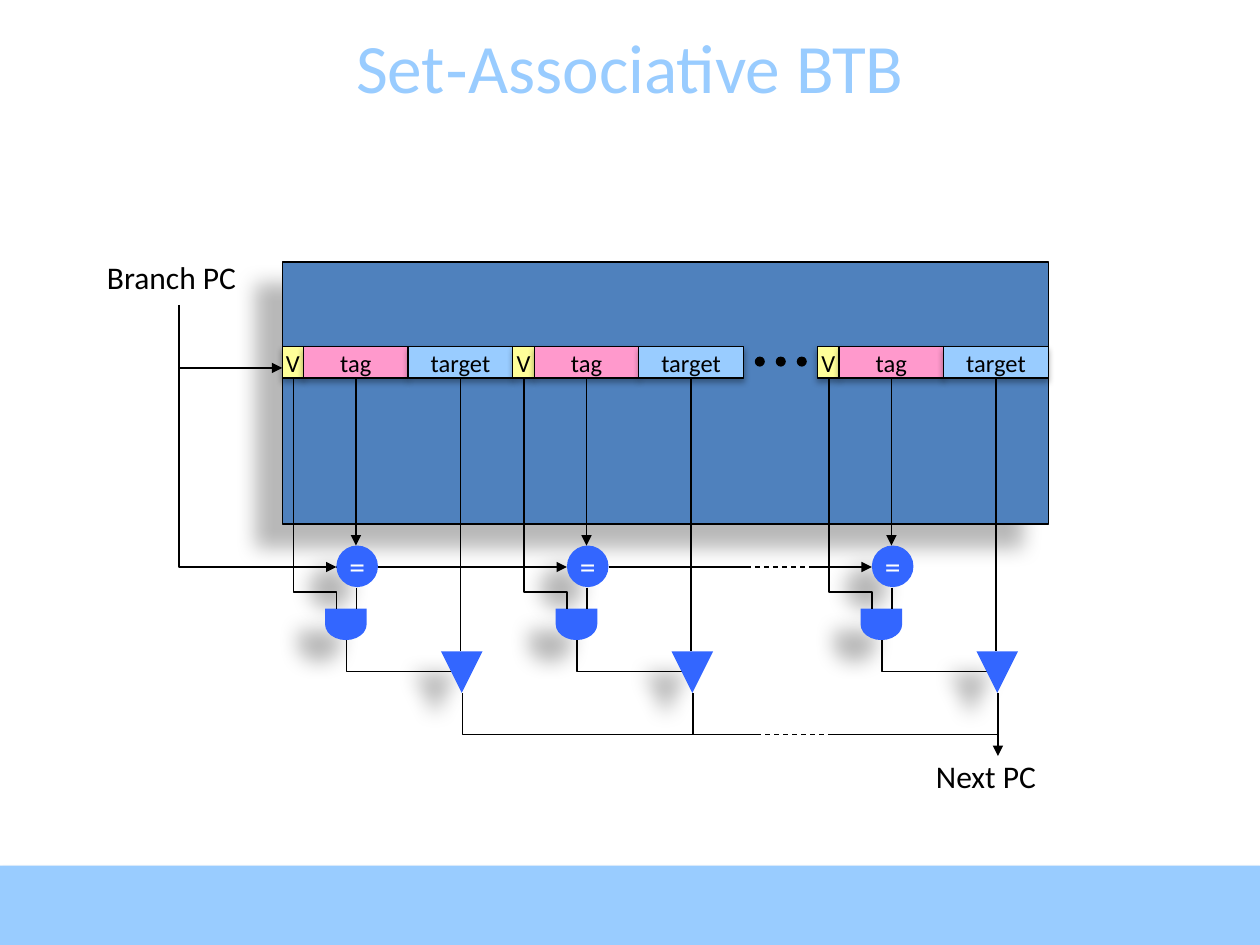
"""Build the slide that shows a set-associative branch target buffer."""
from lxml.etree import SubElement
from pptx import Presentation
from pptx.dml.color import RGBColor
from pptx.enum.dml import MSO_LINE
from pptx.enum.shapes import MSO_CONNECTOR, MSO_SHAPE as Kind
from pptx.enum.text import MSO_ANCHOR, MSO_AUTO_SIZE, PP_ALIGN
from pptx.oxml.ns import qn
from pptx.util import Inches, Pt

BLACK = RGBColor(0x00, 0x00, 0x00)
WHITE = RGBColor(0xFF, 0xFF, 0xFF)
SKY = RGBColor(0x99, 0xCC, 0xFF)
STEEL = RGBColor(0x4F, 0x81, 0xBD)
ROYAL = RGBColor(0x33, 0x66, 0xFF)
YELLOW = RGBColor(0xFF, 0xFF, 0x99)
PINK = RGBColor(0xFF, 0x99, 0xCC)

# opacity %, blur pt, distance pt, direction degrees
BAND_SHADOW = (35, 3.1, 1.8, 90)
CELL_SHADOW = (32, 3.5, 2.2, 90)
LONG_SHADOW = (28, 11.8, 19.7, 141)

deck = Presentation()
deck.slide_width, deck.slide_height = Inches(10), Inches(7.5)
page = deck.slides.add_slide(deck.slide_layouts[6])


def add_box(text, left, top, width, height, kind=None, fill=None, outlined=False,
            shadow=None, size=18, color=BLACK, align=PP_ALIGN.CENTER,
            anchor=MSO_ANCHOR.MIDDLE, margin=0.1, wrap=False):
    place = [Inches(value) for value in (left, top, width, height)]
    if kind is None:
        box = page.shapes.add_textbox(*place)
    else:
        box = page.shapes.add_shape(kind, *place)
        box.shadow.inherit = False
        box.fill.solid()
        box.fill.fore_color.rgb = fill
        if outlined:
            box.line.color.rgb = BLACK
            box.line.width = Pt(0.75)
        else:
            box.line.fill.background()
    if shadow:
        opacity, blur, distance, direction = shadow
        effects = box._element.spPr.find(qn("a:effectLst"))
        outer = SubElement(effects, qn("a:outerShdw"), blurRad=str(Pt(blur)),
                           dist=str(Pt(distance)), dir=str(direction * 60000),
                           algn="ctr", rotWithShape="0")
        tint = SubElement(outer, qn("a:srgbClr"), val=str(BLACK))
        SubElement(tint, qn("a:alpha"), val=str(opacity * 1000))
    if text:
        frame = box.text_frame
        frame.word_wrap = wrap
        frame.vertical_anchor = anchor
        frame.margin_left = frame.margin_right = Inches(margin)
        if kind is None and not wrap:
            frame.auto_size = MSO_AUTO_SIZE.SHAPE_TO_FIT_TEXT
        para = frame.paragraphs[0]
        para.alignment = align
        for part in filter(None, text.partition("-")):
            span = para.add_run()
            span.text = part
            span.font.name = "Arial" if part == "-" else "Calibri"
            span.font.size = Pt(size)
            span.font.color.rgb = color
    return box


def add_wire(*points, arrow=False, dashed=False, source=None):
    spots = [(Inches(x), Inches(y)) for x, y in points]
    if len(spots) == 2:
        wire = page.shapes.add_connector(MSO_CONNECTOR.STRAIGHT, *spots[0], *spots[1])
        if source is not None:
            wire.begin_connect(source, 2)
            wire.end_x = wire.begin_x
    else:
        builder = page.shapes.build_freeform(*spots[0])
        builder.add_line_segments(spots[1:], close=False)
        wire = builder.convert_to_shape()
        wire.fill.background()
    wire.line.color.rgb = BLACK
    wire.line.width = Pt(0.75)
    if dashed:
        wire.line.dash_style = MSO_LINE.DASH
    if arrow:
        SubElement(wire._element.spPr.find(qn("a:ln")), qn("a:tailEnd"), type="triangle")
    SubElement(wire._element.spPr, qn("a:effectLst")) if len(spots) == 2 else None
    if len(spots) > 2:
        wire.shadow.inherit = False


add_box("", 0, 6.87, 10, 0.63, kind=Kind.RECTANGLE, fill=SKY, shadow=BAND_SHADOW)
add_box("Set-Associative BTB", 0, 0.21, 10, 0.63, size=39.6, color=SKY, wrap=True)

add_wire((6.42, 4.5), (6.92, 4.5), arrow=True)
add_wire((2.67, 4.5), (4.5, 4.5), arrow=True)
add_box("", 2.24, 2.08, 6.08, 2.08, kind=Kind.RECTANGLE, fill=STEEL, outlined=True,
        shadow=LONG_SHADOW)

add_box("Branch PC", 0.75, 2, 1.29, 0.4, align=PP_ALIGN.LEFT, anchor=MSO_ANCHOR.TOP)
add_wire((1.42, 2.42), (1.42, 2.92), (2.24, 2.92), arrow=True)
add_wire((1.42, 2.92), (1.42, 4.5), (2.67, 4.5), arrow=True)

for way in (2.24, 4.07, 6.49):
    cells = {}
    for name, offset, width, fill, margin in (("V", 0, 0.17, YELLOW, 0),
                                              ("tag", 0.17, 0.83, PINK, 0.1),
                                              ("target", 1, 0.83, SKY, 0.1)):
        cells[name] = add_box(name, way + offset, 2.75, width, 0.25, kind=Kind.RECTANGLE,
                              fill=fill, outlined=True, shadow=CELL_SHADOW, size=14,
                              margin=margin)
    tag_x, target_x, gate_x = way + 0.59, way + 1.42, way + 0.51

    add_box("=", way + 0.43, 4.33, 0.33, 0.33, kind=Kind.OVAL, fill=ROYAL,
            shadow=LONG_SHADOW, color=WHITE)
    add_wire((tag_x, 3), (tag_x, 4.33), arrow=True, source=cells["tag"])

    gate = add_box("", way + 0.38, 4.79, 0.25, 0.33, kind=Kind.FLOWCHART_DELAY,
                   fill=ROYAL, shadow=LONG_SHADOW)
    gate.rotation = 90
    add_wire((tag_x, 4.67), (tag_x, 4.83))
    add_wire((way + 0.09, 3), (way + 0.09, 4.7), (way + 0.43, 4.7), (way + 0.43, 4.83))

    add_wire((target_x, 3), (target_x, 5.17), source=cells["target"])
    add_wire((gate_x, 5.08), (gate_x, 5.33), (way + 1.34, 5.33))
    buffer = add_box("", way + 1.26, 5.17, 0.33, 0.33, kind=Kind.ISOSCELES_TRIANGLE,
                     fill=ROYAL, shadow=LONG_SHADOW)
    buffer._element.spPr.xfrm.set("flipV", "1")

for dot in range(3):
    add_box("", 5.99 + dot / 6, 2.83, 0.08, 0.08, kind=Kind.OVAL, fill=BLACK)

add_wire((4.83, 4.5), (5.92, 4.5))
add_wire((5.92, 4.5), (6.42, 4.5), dashed=True)
add_wire((3.67, 5.5), (3.67, 5.83), (6, 5.83))
add_wire((5.5, 5.5), (5.5, 5.83))
add_wire((7.92, 5.5), (7.92, 6), arrow=True)
add_wire((6.58, 5.83), (7.92, 5.83))
add_wire((6, 5.83), (6.58, 5.83), dashed=True)
add_box("Next PC", 7.33, 5.96, 1.11, 0.4, align=PP_ALIGN.LEFT, anchor=MSO_ANCHOR.TOP)

deck.save("out.pptx")
